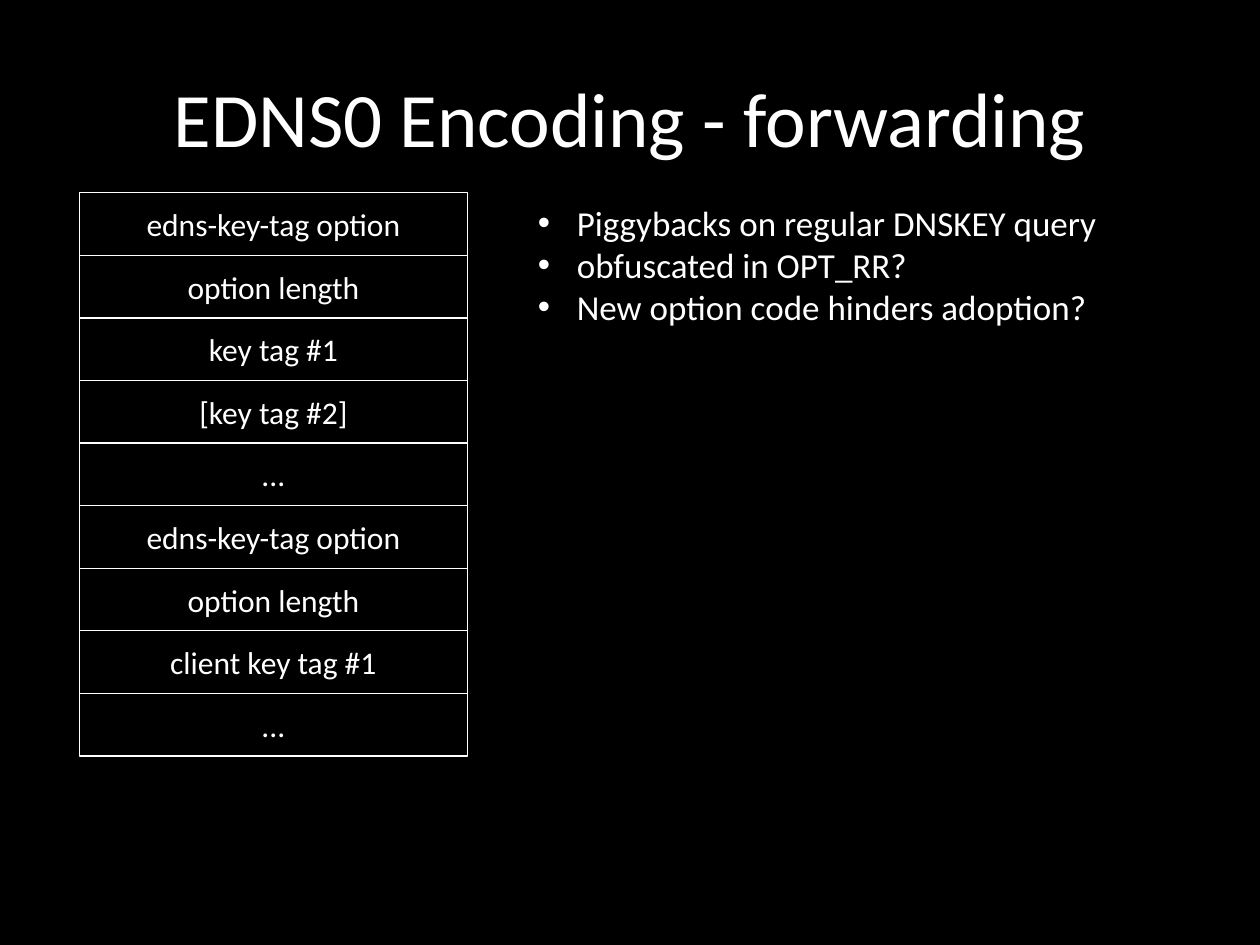
import pptx
import pptx.util
import pptx.dml.color
import pptx.enum.shapes
import pptx.enum.text
import lxml.etree

TITLE = "EDNS0 Encoding - forwarding"
FIELDS = [
    "edns-key-tag option", "option length", "key tag #1", "[key tag #2]", "...",
    "edns-key-tag option", "option length", "client key tag #1", "...",
]
POINTS = [
    "Piggybacks on regular DNSKEY query",
    "obfuscated in OPT_RR?",
    "New option code hinders adoption?",
]
THEME = {
    "font": "Calibri", "back": "000000", "ink": "FFFFFF",
    "title": 44, "field": 18, "point": 20, "line": 0.75,
}
WIDTH, HEIGHT = 10, 7.5
TITLE_BOX = (0.5, 0.3, 9, 1.25)
STACK = (0.63, 1.53, 3.08, 4.47)
POINTS_BOX = (4.17, 1.55, 5, 1.11)
INDENT = 0.31

Inches, Pt = pptx.util.Inches, pptx.util.Pt
ALIGN = pptx.enum.text.PP_ALIGN
ANCHOR = pptx.enum.text.MSO_ANCHOR


def color(name):
    """Return a theme colour by name."""
    return pptx.dml.color.RGBColor.from_string(THEME[name])


def box(left, top, width, height):
    """Convert a box in inches to slide units."""
    return [Inches(v) for v in (left, top, width, height)]


def write(sp, text, size, align, anchor):
    """Put text in a shape, one paragraph a line, and format it."""
    tf = sp.text_frame
    tf.text = text
    tf.word_wrap = True
    tf.vertical_anchor = anchor
    for p in tf.paragraphs:
        p.alignment = align
        for r in p.runs:
            r.font.name = THEME["font"]
            r.font.size = Pt(THEME[size])
            r.font.color.rgb = color("ink")


def add_bullet(p):
    """Give a paragraph a bullet with a hanging indent."""
    pPr = p._p.get_or_add_pPr()
    pPr.set("marL", str(Inches(INDENT)))
    pPr.set("indent", str(-Inches(INDENT)))
    for tag, key, value in (("buFont", "typeface", "Arial"), ("buChar", "char", "•")):
        lxml.etree.SubElement(pPr, pptx.oxml.ns.qn("a:" + tag)).set(key, value)


def add_title(s):
    """Place and format the title placeholder."""
    sp = s.shapes.title
    sp.left, sp.top, sp.width, sp.height = box(*TITLE_BOX)
    write(sp, TITLE, "title", ALIGN.CENTER, ANCHOR.MIDDLE)


def add_fields(s):
    """Stack the option fields in equal rows."""
    left, top, width, height = STACK
    row = height / len(FIELDS)
    for i, text in enumerate(FIELDS):
        sp = s.shapes.add_shape(
            pptx.enum.shapes.MSO_SHAPE.RECTANGLE, *box(left, top + i * row, width, row))
        sp.shadow.inherit = False
        sp.fill.background()
        sp.line.color.rgb = color("ink")
        sp.line.width = Pt(THEME["line"])
        write(sp, text, "field", ALIGN.CENTER, ANCHOR.MIDDLE)


def add_points(s):
    """Add the bulleted remarks."""
    sp = s.shapes.add_textbox(*box(*POINTS_BOX))
    write(sp, "\n".join(POINTS), "point", ALIGN.LEFT, ANCHOR.TOP)
    for p in sp.text_frame.paragraphs:
        add_bullet(p)


def main():
    """Build and save the slide."""
    prs = pptx.Presentation()
    prs.slide_width, prs.slide_height = Inches(WIDTH), Inches(HEIGHT)
    s = prs.slides.add_slide(prs.slide_layouts[5])
    s.background.fill.solid()
    s.background.fill.fore_color.rgb = color("back")
    add_title(s)
    add_fields(s)
    add_points(s)
    prs.save("out.pptx")


main()
